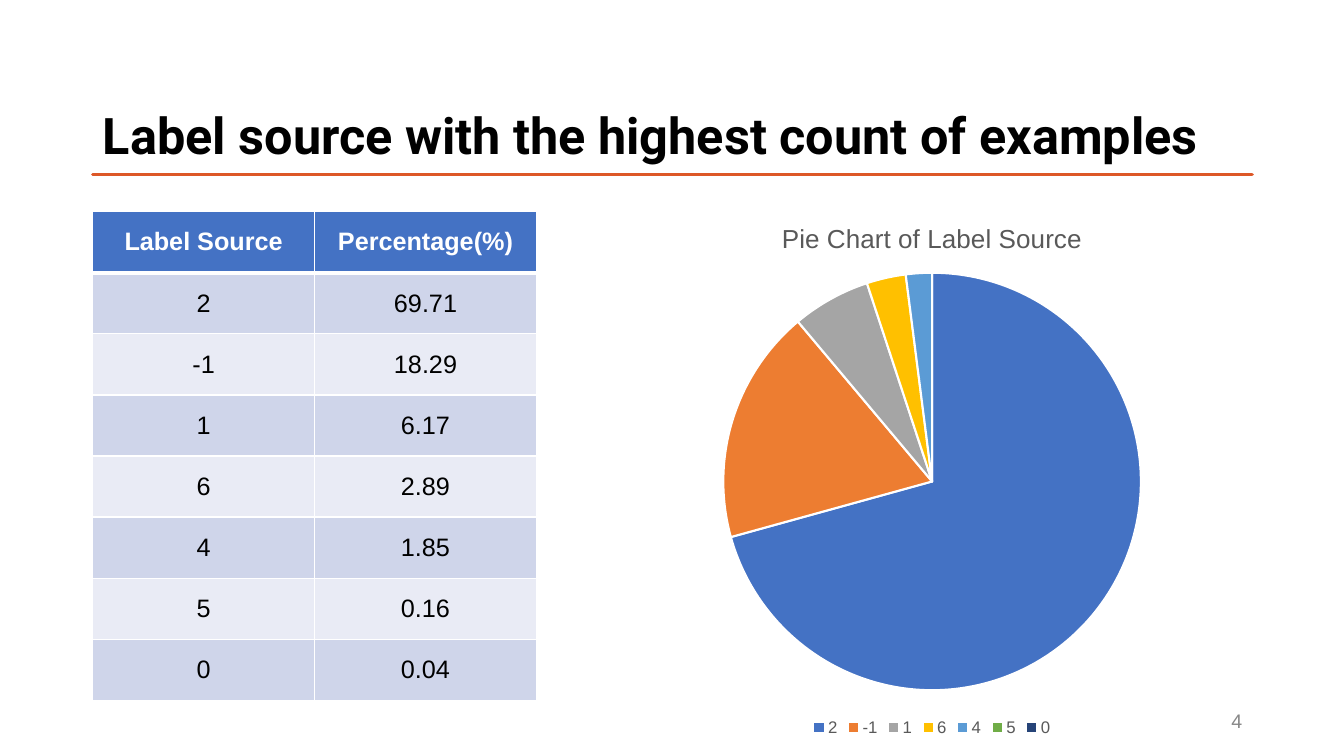
from pptx import Presentation
from pptx.chart.data import CategoryChartData
from pptx.dml.color import RGBColor
from pptx.enum.chart import XL_CHART_TYPE, XL_LEGEND_POSITION
from pptx.enum.shapes import MSO_CONNECTOR
from pptx.enum.text import MSO_ANCHOR, PP_ALIGN
from pptx.oxml import parse_xml
from pptx.oxml.ns import nsdecls
from pptx.util import Inches, Pt

HEAD = ("Label Source", "Percentage(%)")
SHARES = [("2", 69.71), ("-1", 18.29), ("1", 6.17), ("6", 2.89),
          ("4", 1.85), ("5", 0.16), ("0", 0.04)]
SLICES = ("4472C4", "ED7D31", "A5A5A5", "FFC000", "5B9BD5", "70AD47", "264478")
BANDS = ("CFD5EA", "E9EBF5")


def color(code):
    return RGBColor.from_string(code)


def style(font, size, code, bold=False, name="Arial"):
    font.name = name
    font.size = Pt(size)
    font.bold = bold
    font.color.rgb = color(code)


def place(shape, x, y, w, h):
    shape.left, shape.top = Inches(x), Inches(y)
    shape.width, shape.height = Inches(w), Inches(h)


def add_title(slide, text, x, y, w, h):
    title = slide.shapes.title
    place(title, x, y, w, h)
    frame = title.text_frame
    frame.text = text
    frame.word_wrap = True
    frame.vertical_anchor = MSO_ANCHOR.MIDDLE
    para = frame.paragraphs[0]
    para.alignment = PP_ALIGN.LEFT
    para.line_spacing = 0.9
    style(para.runs[0].font, 36, "000000", True, "Roboto")

    # Rule under the title, with round ends
    base = Inches(y + 1.08)
    rule = slide.shapes.add_connector(
        MSO_CONNECTOR.STRAIGHT, Inches(x), base, Inches(x + w), base)
    rule.line.color.rgb = color("DD5828")
    rule.line.width = Pt(2.25)
    rule.line._ln.set("cap", "rnd")
    rule._element.spPr.append(parse_xml(f"<a:effectLst {nsdecls('a')}/>"))


def add_number(slide, text, x, y, w, h):
    box = slide.shapes.add_textbox(Inches(x), Inches(y), Inches(w), Inches(h))
    frame = box.text_frame
    frame.text = text
    frame.word_wrap = True
    frame.vertical_anchor = MSO_ANCHOR.MIDDLE
    para = frame.paragraphs[0]
    para.alignment = PP_ALIGN.RIGHT
    style(para.runs[0].font, 14, "888888")


def set_edges(cell, base):
    # Borders come before the fill in the cell properties
    props = cell._tc.get_or_add_tcPr()
    for spot, (side, width) in enumerate(
            (("L", 1), ("R", 1), ("T", 1), ("B", base))):
        props.insert(spot, parse_xml(
            f'<a:ln{side} {nsdecls("a")} w="{Pt(width)}"><a:solidFill>'
            f'<a:srgbClr val="FFFFFF"/></a:solidFill></a:ln{side}>'))


def add_shares(slide, x, y, w, h):
    rows = [HEAD] + [(label, f"{share:.2f}") for label, share in SHARES]
    table = slide.shapes.add_table(
        len(rows), 2, Inches(x), Inches(y), Inches(w), Inches(h)).table
    for r, row in enumerate(rows):
        top = r == 0
        for c, text in enumerate(row):
            cell = table.cell(r, c)
            cell.text_frame.text = text
            cell.vertical_anchor = MSO_ANCHOR.MIDDLE
            cell.fill.solid()
            cell.fill.fore_color.rgb = color(
                "4472C4" if top else BANDS[(r - 1) % 2])
            para = cell.text_frame.paragraphs[0]
            para.alignment = PP_ALIGN.CENTER
            style(para.runs[0].font, 18, "FFFFFF" if top else "000000", top)
            set_edges(cell, 3 if top else 1)


def set_layout(plot, x, y, w, h):
    # Place the pie by fractions of the chart box
    area = plot._element.getparent()
    for old in area.findall("{*}layout"):
        area.remove(old)
    area.insert(0, parse_xml(
        f'<c:layout {nsdecls("c")}><c:manualLayout>'
        '<c:layoutTarget val="inner"/>'
        '<c:xMode val="edge"/><c:yMode val="edge"/>'
        f'<c:x val="{x}"/><c:y val="{y}"/><c:w val="{w}"/><c:h val="{h}"/>'
        '</c:manualLayout></c:layout>'))


def add_pie(slide, x, y, w, h):
    data = CategoryChartData()
    data.categories = [label for label, _ in SHARES]
    data.add_series("Series 1", [round(share) for _, share in SHARES])
    chart = slide.shapes.add_chart(
        XL_CHART_TYPE.PIE, Inches(x), Inches(y), Inches(w), Inches(h),
        data).chart
    style(chart.font, 10, "000000")

    # Title and legend
    chart.has_title = True
    frame = chart.chart_title.text_frame
    frame.text = "Pie Chart of Label Source"
    style(frame.paragraphs[0].runs[0].font, 18.6, "595959")
    chart.has_legend = True
    chart.legend.position = XL_LEGEND_POSITION.BOTTOM
    chart.legend.include_in_layout = False
    style(chart.legend.font, 12, "595959")

    # Slices
    plot = chart.plots[0]
    plot.vary_by_categories = True
    set_layout(plot, 0.23, 0.13, 0.54, 0.78)
    for spot, code in enumerate(SLICES):
        form = plot.series[0].points[spot].format
        form.fill.solid()
        form.fill.fore_color.rgb = color(code)
        form.line.color.rgb = color("FFFFFF")
        form.line.width = Pt(1.5)


def main():
    deck = Presentation()
    deck.slide_width, deck.slide_height = Inches(13.33), Inches(7.5)
    slide = deck.slides.add_slide(deck.slide_layouts[5])
    add_title(slide, "Label source with the highest count of examples",
              0.92, 0.65, 11.5, 1.45)
    add_number(slide, "4", 9.42, 6.95, 3, 0.4)
    add_shares(slide, 0.92, 2.1, 4.4, 4.85)
    add_pie(slide, 5.41, 1.99, 7.67, 5.36)
    deck.save("out.pptx")


if __name__ == "__main__":
    main()
